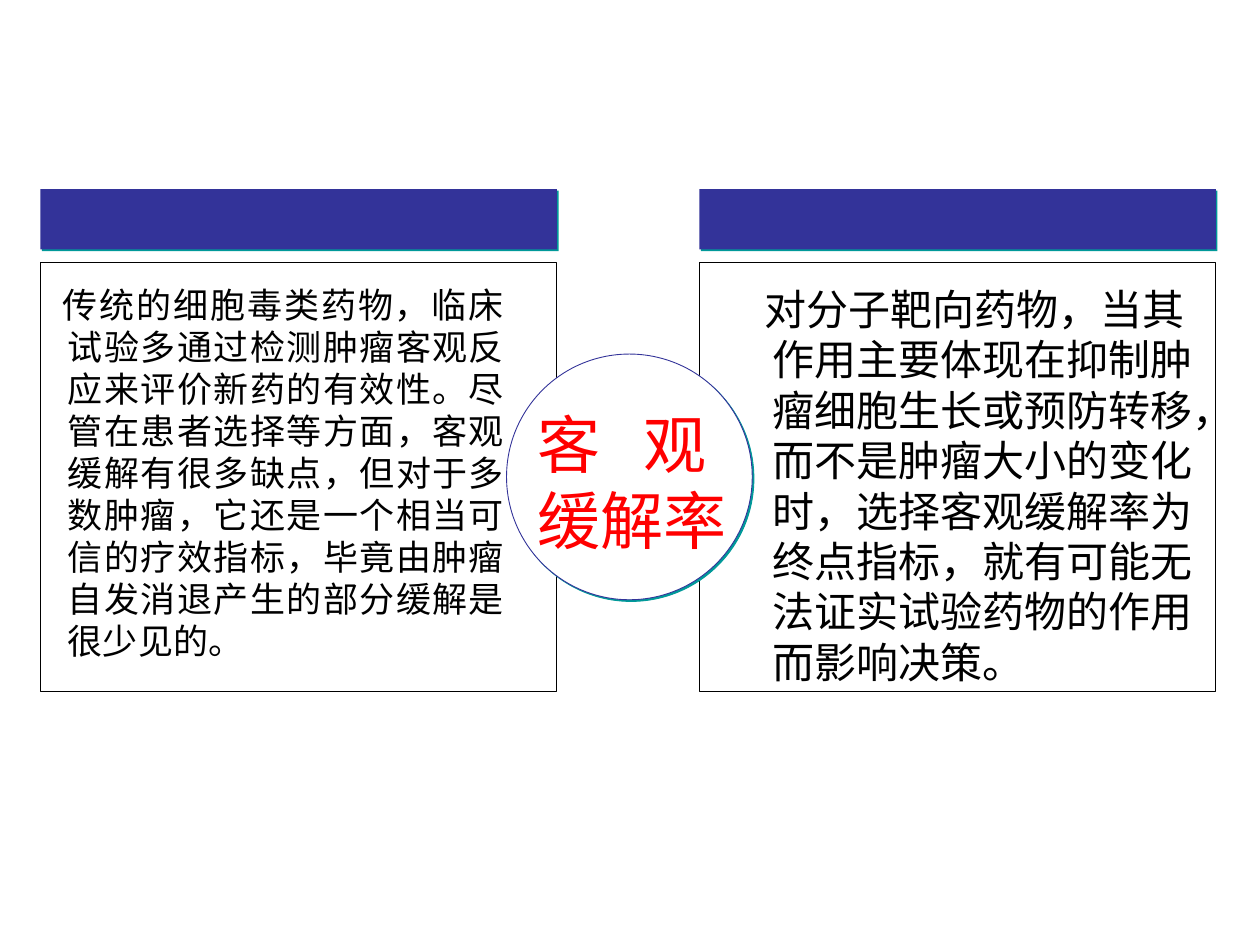
from dataclasses import dataclass

from lxml.etree import SubElement
from pptx import Presentation
from pptx.dml.color import RGBColor
from pptx.enum.shapes import MSO_SHAPE
from pptx.enum.text import MSO_AUTO_SIZE, PP_ALIGN
from pptx.oxml.ns import qn
from pptx.util import Inches, Pt


@dataclass(frozen=True)
class Theme:
    navy: str = "333399"
    teal: str = "009999"
    black: str = "000000"
    white: str = "FFFFFF"
    red: str = "FF0000"
    latin: str = "Arial"
    han: str = "Noto Sans CJK SC"
    small: int = 20
    large: int = 24
    title: int = 36
    rule: float = 0.5
    lead: float = 1.2


THEME = Theme()


def add_shape(slide, kind, box, fill=None, line=None, shadow=False):
    shape = slide.shapes.add_shape(kind, *map(Inches, box))
    shape.shadow.inherit = False
    if fill:
        shape.fill.solid()
        shape.fill.fore_color.rgb = RGBColor.from_string(fill)
    else:
        shape.fill.background()
    if line:
        shape.line.color.rgb = RGBColor.from_string(line)
        shape.line.width = Pt(THEME.rule)
    else:
        shape.line.fill.background()
    if shadow:
        effects = shape._element.spPr.find(qn("a:effectLst"))
        outer = SubElement(effects, qn("a:outerShdw"), dist=str(Pt(1.4)),
                           dir=str(45 * 60000), algn="ctr", rotWithShape="0")
        SubElement(outer, qn("a:srgbClr"), val=THEME.teal)


def add_text(slide, box, inset, lines, size, color, font, align=None,
             indent=None, tab=None):
    """Place lines of text; indent is (left margin, first-line offset)."""
    frame = slide.shapes.add_textbox(*map(Inches, box)).text_frame
    across, down = map(Inches, inset)
    layout = {"word_wrap": True, "auto_size": MSO_AUTO_SIZE.NONE,
              "margin_left": across, "margin_right": across,
              "margin_top": down, "margin_bottom": down}
    for name, value in layout.items():
        setattr(frame, name, value)
    for i, line in enumerate(lines):
        para = frame.paragraphs[0] if i == 0 else frame.add_paragraph()
        para.line_spacing = Pt(size * THEME.lead)
        if align is not None:
            para.alignment = align
        props = para._p.get_or_add_pPr()
        if indent:
            for name, value in zip(("marL", "indent"), indent):
                props.set(name, str(Inches(value)))
        if tab:
            stops = SubElement(props, qn("a:tabLst"))
            SubElement(stops, qn("a:tab"), pos=str(Inches(tab)), algn="l")
        run = para.add_run()
        run.text = line
        for name, value in {"size": Pt(size), "name": font}.items():
            setattr(run.font, name, value)
        run.font.color.rgb = RGBColor.from_string(color)
        SubElement(run._r.get_or_add_rPr(), qn("a:ea"), typeface=THEME.han)


def add_panel(slide, box, inner, text, size, align, first):
    """Header bar over a framed box; inner is the text's x offset and width."""
    left, top, width, height = box
    bar, gap = 0.48, 0.1
    body = top + bar + gap
    shift, span = inner
    add_text(slide, (left + shift, body + 0.17, span, 3.2), (0, 0), [text],
             size, THEME.black, THEME.han, align, (0.21, first))
    add_shape(slide, MSO_SHAPE.RECTANGLE, (left, top, width, bar),
              fill=THEME.navy, shadow=True)
    add_shape(slide, MSO_SHAPE.RECTANGLE,
              (left, body, width, height - bar - gap), line=THEME.black)


def add_badge(slide, box, lines):
    left, top, width, _ = box
    add_shape(slide, MSO_SHAPE.OVAL, box, THEME.white, THEME.navy, True)
    add_text(slide, (left + 0.15, top + 0.36, width - 0.2, 1.3), (0.1, 0.05),
             lines, THEME.title, THEME.red, THEME.latin, tab=0.84)


def main():
    deck = Presentation()
    deck.slide_width, deck.slide_height = Inches(10), Inches(7.5)
    slide = deck.slides.add_slide(deck.slide_layouts[6])
    add_panel(
        slide, (0.32, 1.5, 4.1, 3.99), (0.01, 3.67),
        "传统的细胞毒类药物，临床试验多通过检测肿瘤客观反应来评价新药的有效性。"
        "尽管在患者选择等方面，客观缓解有很多缺点，但对于多数肿瘤，"
        "它还是一个相当可信的疗效指标，毕竟由肿瘤自发消退产生的部分缓解是很少见的。",
        THEME.small, PP_ALIGN.JUSTIFY, -0.04)
    add_panel(
        slide, (5.55, 1.5, 4.1, 3.99), (0.37, 3.71),
        "对分子靶向药物，当其作用主要体现在抑制肿瘤细胞生长或预防转移，"
        "而不是肿瘤大小的变化时，选择客观缓解率为终点指标，"
        "就有可能无法证实试验药物的作用而影响决策。",
        THEME.large, PP_ALIGN.LEFT, -0.06)
    add_badge(slide, (4.02, 2.81, 1.95, 1.95), ("客\t观", "缓解率"))
    deck.save("out.pptx")


if __name__ == "__main__":
    main()
